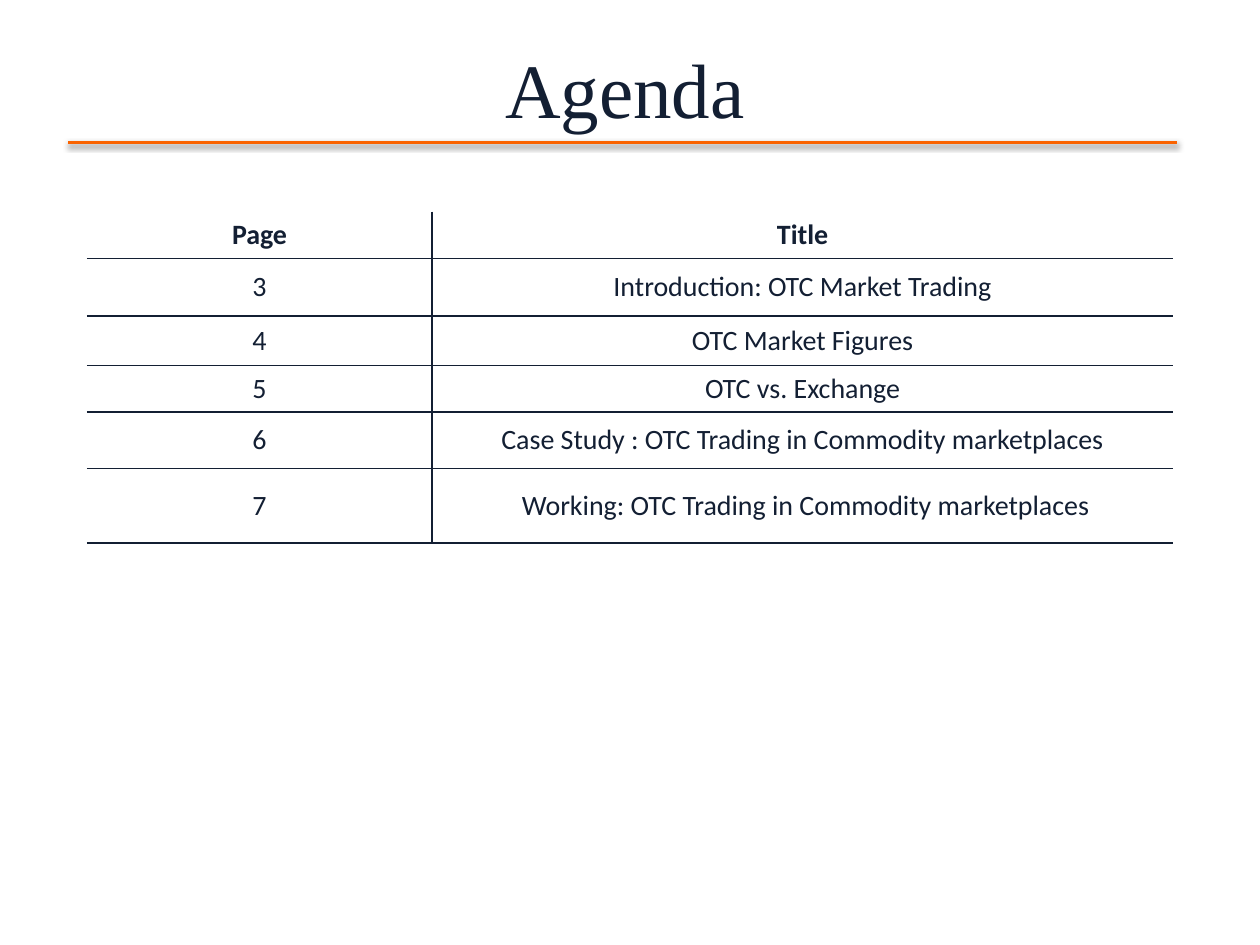
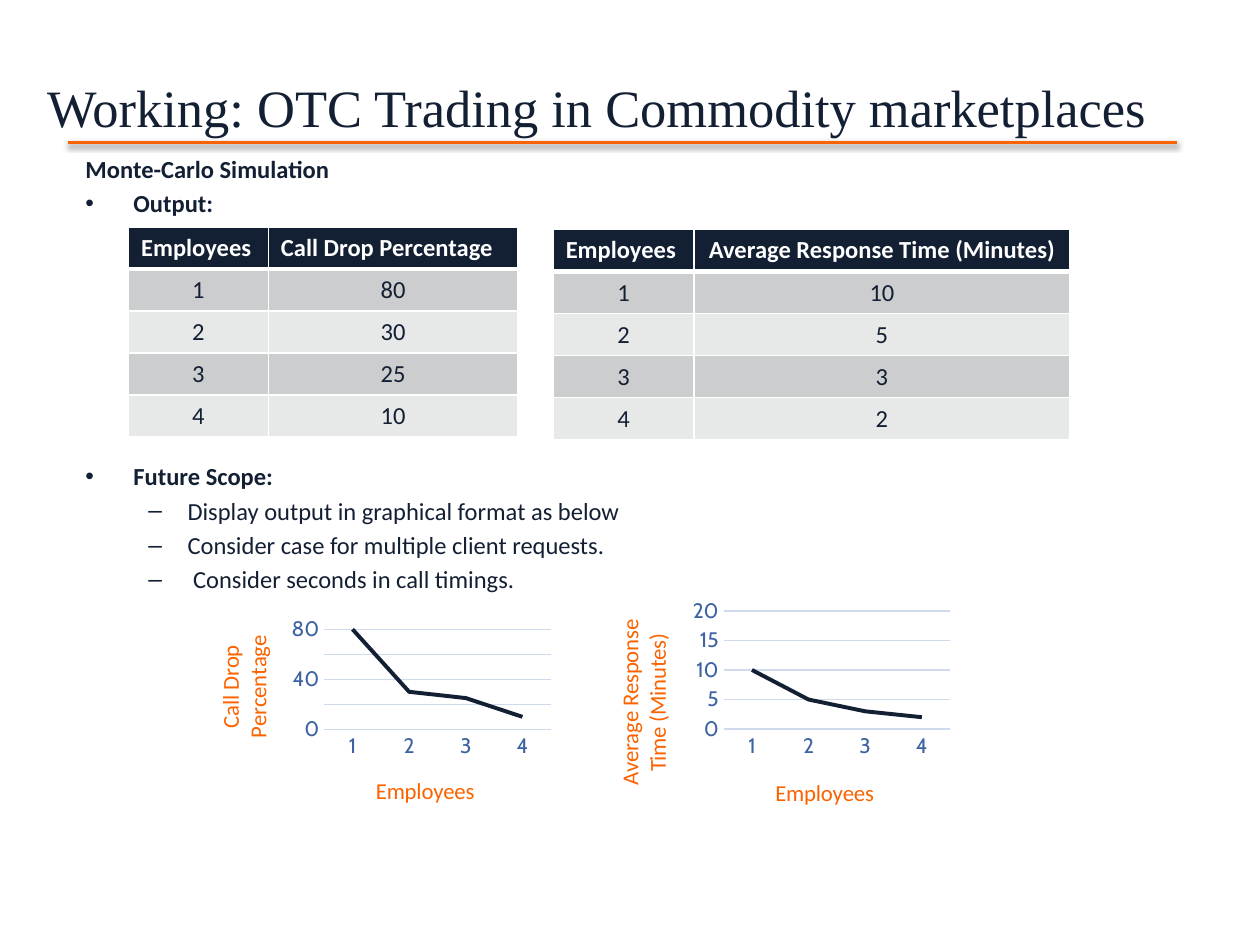
from lxml.etree import SubElement
from pptx import Presentation
from pptx.chart.data import CategoryChartData
from pptx.dml.color import RGBColor
from pptx.enum.chart import XL_CHART_TYPE, XL_TICK_MARK
from pptx.enum.shapes import MSO_CONNECTOR
from pptx.enum.text import MSO_ANCHOR, PP_ALIGN
from pptx.oxml import parse_xml
from pptx.oxml.ns import nsdecls, qn
from pptx.util import Pt

PX = 9144
NAVY, ORANGE, WHITE = "131F33", "FA6300", "FFFFFF"
BLUE, PALE_BLUE = "3D63A3", "CFDAED"
BANDS = ("CCCDCE", "E7E8E8")
SERIF, SANS, CHART_FONT = "Times New Roman", "Calibri", "Cabin"
NO_TABLE_STYLE = "{2D5ABB26-0587-4C30-8999-92F81FD0307C}"


def px(*lengths):
    return [length * PX for length in lengths]


def color(value):
    return RGBColor.from_string(value)


def style_font(font, name, size, fill, bold=False):
    font.name, font.size, font.bold = name, Pt(size), bold
    font.color.rgb = color(fill)


def write(para, text, font=SANS, size=14, fill=NAVY, bold=False, align=PP_ALIGN.LEFT):
    para.alignment = align
    span = para.add_run()
    span.text = text
    style_font(span.font, font, size, fill, bold)


def set_borders(cell, borders):
    properties = cell._tc.get_or_add_tcPr()
    drawn = [side for side in "LRTB" if side in borders]
    for index, side in enumerate(drawn):
        fill, width = borders[side]
        properties.insert(index, parse_xml(
            f'<a:ln{side} {nsdecls("a")} w="{Pt(width)}"><a:solidFill>'
            f'<a:srgbClr val="{fill}"/></a:solidFill></a:ln{side}>'))


def set_layout(parent, index, **fractions):
    for old in parent.findall(qn("c:layout")):
        parent.remove(old)
    layout = parse_xml(f'<c:layout {nsdecls("c")}><c:manualLayout/></c:layout>')
    manual = layout[0]
    if "w" in fractions:
        SubElement(manual, qn("c:layoutTarget"), val="inner")
    for mode in ("xMode", "yMode"):
        SubElement(manual, qn(f"c:{mode}"), val="edge")
    for name, value in fractions.items():
        SubElement(manual, qn(f"c:{name}"), val=str(value))
    parent.insert(index, layout)


class Deck:
    def __init__(self):
        self.deck = Presentation()
        self.deck.slide_width, self.deck.slide_height = px(1000, 750)
        self.page = None

    def add_page(self, title, box, size, anchor):
        self.page = self.deck.slides.add_slide(self.deck.slide_layouts[6])
        frame = self.text_box(box, anchor)
        write(frame.paragraphs[0], title, font=SERIF, size=size, align=PP_ALIGN.CENTER)
        self.title_rule()

    def text_box(self, box, anchor=MSO_ANCHOR.TOP):
        frame = self.page.shapes.add_textbox(*px(*box)).text_frame
        frame.word_wrap = True
        frame.vertical_anchor = anchor
        return frame

    def title_rule(self):
        rule = self.page.shapes.add_connector(MSO_CONNECTOR.STRAIGHT, *px(54, 113, 934, 113))
        rule.line.color.rgb = color(ORANGE)
        rule.line.width = Pt(2)
        rule.element.spPr.append(parse_xml(
            f'<a:effectLst {nsdecls("a")}><a:outerShdw blurRad="{Pt(3.1)}" '
            f'dist="{Pt(1.6)}" dir="5400000" rotWithShape="0"><a:srgbClr val="000000">'
            '<a:alpha val="38000"/></a:srgbClr></a:outerShdw></a:effectLst>'))

    def bullets(self, box, items):
        frame = self.text_box(box)
        for index, (text, mark, left, hanging, bold, before) in enumerate(items):
            para = frame.paragraphs[0] if index == 0 else frame.add_paragraph()
            write(para, text, bold=bold)
            para.space_before = Pt(before)
            if mark:
                properties = para._p.get_or_add_pPr()
                properties.set("marL", str(left * PX))
                properties.set("indent", str(-hanging * PX))
                SubElement(properties, qn("a:buFont"), typeface="Arial")
                SubElement(properties, qn("a:buChar"), char=mark)

    def add_table(self, left, top, widths, heights, rows):
        frame = self.page.shapes.add_table(
            len(rows), len(widths), *px(left, top, sum(widths), sum(heights)))
        next(frame.element.iter(qn("a:tableStyleId"))).text = NO_TABLE_STYLE
        table = frame.table
        table.horz_banding = False
        for column, width in zip(table.columns, widths):
            column.width = width * PX
        for row, height in zip(table.rows, heights):
            row.height = height * PX
        for row, texts in enumerate(rows):
            for column, text in enumerate(texts):
                yield row, column, table.cell(row, column), text

    def agenda_table(self, rows):
        line = (NAVY, 1)
        cells = self.add_table(69, 168, (274, 588), (37, 46, 39, 37, 45, 59), rows)
        for row, column, cell, text in cells:
            cell.fill.background()
            cell.vertical_anchor = MSO_ANCHOR.MIDDLE
            write(cell.text_frame.paragraphs[0], text, size=16, bold=row == 0,
                  align=PP_ALIGN.CENTER)
            sides = ("R" if column == 0 else "L") + ("B" if row == 0 else "TB")
            set_borders(cell, dict.fromkeys(sides, line))

    def result_table(self, left, top, widths, rows, header_aligns):
        cells = self.add_table(left, top, widths, [33] * len(rows), rows)
        for row, column, cell, text in cells:
            header = row == 0
            cell.fill.solid()
            cell.fill.fore_color.rgb = color(NAVY if header else BANDS[(row - 1) % 2])
            write(cell.text_frame.paragraphs[0], text, bold=header,
                  fill=WHITE if header else NAVY,
                  align=header_aligns[column] if header else PP_ALIGN.CENTER)
            borders = dict.fromkeys("LRT" if header else "LR", (WHITE, 1))
            borders["B"] = (WHITE, 3 if header else 1)
            set_borders(cell, borders)

    def style_axis(self, axis, title, x, y):
        axis.major_tick_mark = axis.minor_tick_mark = XL_TICK_MARK.NONE
        style_font(axis.tick_labels.font, CHART_FONT, 12, BLUE)
        heading = axis.axis_title
        write(heading.text_frame.paragraphs[0], title, size=13, fill=ORANGE,
              align=PP_ALIGN.CENTER)
        set_layout(heading.element, 1, x=x, y=y)
        return heading

    def line_chart(self, box, rows, top, step, plot, value_title_y, category_title_y):
        (category_title, value_title), *points = rows
        data = CategoryChartData()
        data.categories = [category for category, _ in points]
        data.add_series("Series 1", [int(value) for _, value in points])
        chart = self.page.shapes.add_chart(XL_CHART_TYPE.LINE, *px(*box), data).chart
        chart.has_title = chart.has_legend = False
        style_font(chart.font, CHART_FONT, 10, NAVY)
        set_layout(chart.element.find(".//" + qn("c:plotArea")), 0, **plot)
        chart.plots[0].vary_by_categories = False

        series = chart.plots[0].series[0]
        series.smooth = False
        series.format.line.color.rgb = color(NAVY)
        series.format.line.width = Pt(2.25)

        categories, values = chart.category_axis, chart.value_axis
        self.style_axis(categories, category_title, 0.49, category_title_y)
        heading = self.style_axis(values, value_title, 0.05, value_title_y)
        body = heading.element.find(".//" + qn("a:bodyPr"))
        body.set("rot", "-5400000")
        body.set("vert", "horz")
        values.minimum_scale, values.maximum_scale, values.major_unit = 0, top, step
        values.format.line.fill.background()
        values.has_major_gridlines = True
        for line in (categories.format.line, values.major_gridlines.format.line):
            line.color.rgb = color(PALE_BLUE)
            line.width = Pt(0.75)

    def save(self):
        self.deck.save("out.pptx")


def main():
    deck = Deck()
    working = " Working: OTC Trading in Commodity marketplaces"

    deck.add_page("Agenda", (42, 7, 908, 125), 44, MSO_ANCHOR.MIDDLE)
    deck.agenda_table([
        ("Page", "Title"),
        ("3", "Introduction: OTC Market Trading"),
        ("4", "OTC Market Figures"),
        ("5", "OTC vs. Exchange"),
        ("6", "Case Study : OTC Trading in Commodity marketplaces"),
        ("7", working),
    ])

    call_drops = [("Employees", "Call Drop Percentage"),
                  ("1", "80"), ("2", "30"), ("3", "25"), ("4", "10")]
    response_times = [("Employees", "Average Response Time (Minutes)"),
                      ("1", "10"), ("2", "5"), ("3", "3"), ("4", "2")]
    gap, gap_after_tables = 2.8, 139.5

    deck.add_page(working, (15, 55, 908, 69), 30, MSO_ANCHOR.TOP)
    deck.bullets((58, 117, 865, 387), [
        ("Monte-Carlo Simulation", None, 0, 0, True, gap),
        ("Output:", "•", 38, 38, True, gap),
        ("Future Scope:", "•", 38, 38, True, gap_after_tables),
        ("Display output in graphical format as below", "–", 81, 31, False, gap),
        ("Consider case for multiple client requests.", "–", 81, 31, False, gap),
        (" Consider seconds in call timings.", "–", 81, 31, False, gap),
    ])
    deck.line_chart((153, 486, 290, 169), call_drops, 80, 20,
                    dict(x=0.36, y=0.08, w=0.62, h=0.47), 0.09, 0.75)
    deck.line_chart((470, 472, 290, 184), response_times, 20, 5,
                    dict(x=0.36, y=0.07, w=0.62, h=0.51), 0.09, 0.77)
    deck.result_table(102, 180, (111, 198), call_drops, (PP_ALIGN.LEFT, PP_ALIGN.LEFT))
    deck.result_table(439, 182, (112, 298), response_times, (PP_ALIGN.LEFT, PP_ALIGN.CENTER))
    deck.save()


if __name__ == "__main__":
    main()
